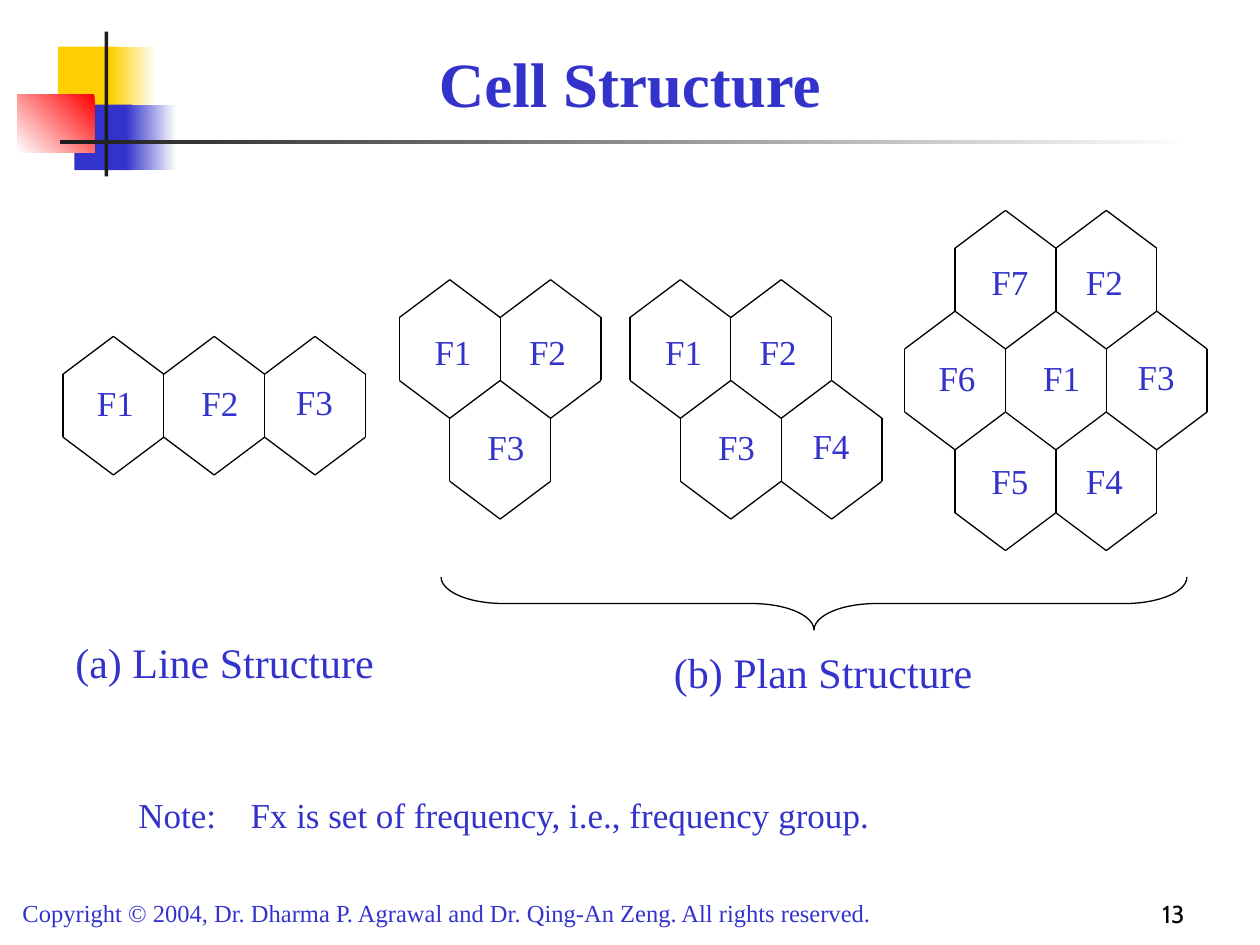
from typing import NamedTuple, Optional

from lxml.etree import SubElement
from pptx import Presentation
from pptx.dml.color import RGBColor
from pptx.enum.shapes import MSO_CONNECTOR, MSO_SHAPE
from pptx.enum.text import MSO_ANCHOR, MSO_AUTO_SIZE, PP_ALIGN
from pptx.oxml.ns import qn
from pptx.util import Inches, Length, Pt

BLUE = RGBColor(0x33, 0x33, 0xCC)
GOLD = RGBColor(0xFF, 0xCF, 0x01)
RED = RGBColor(0xFF, 0x00, 0x00)
DARK = RGBColor(0x1C, 0x1C, 0x1C)
BLACK = RGBColor(0, 0, 0)
WHITE = RGBColor(0xFF, 0xFF, 0xFF)

SERIF = "Times New Roman"
COLS, ROWS = 100, 75  # slide grid of square units
HALF = 4              # half the width of a hexagon
PITCH = 8             # from one row of hexagons to the next
CORNERS = [(1, 0), (2, 3), (2, 8), (1, 11), (0, 8), (0, 3)]  # half widths, units


class Box(NamedTuple):
    left: float
    top: float
    width: float
    height: float


class Bar(NamedTuple):
    box: Box
    color: RGBColor
    end: Optional[RGBColor] = None
    angle: float = 180


class Cell(NamedTuple):
    """A hexagon: col counts half widths; dx and dy place its label."""
    name: str
    col: int
    row: int
    dx: float
    dy: float


class Group(NamedTuple):
    left: float
    top: float
    cells: list[Cell]


BARS = [
    Bar(Box(4.6, 3.7, 4.8, 5.2), GOLD),
    Bar(Box(8.8, 3.7, 3.6, 5.2), WHITE, GOLD),
    Bar(Box(5.9, 8.3, 4.6, 5.2), BLUE),
    Bar(Box(10, 8.3, 4, 5.2), WHITE, BLUE),
    Bar(Box(1.4, 7.5, 6.1, 4.6), RED, WHITE, 225),
    Bar(Box(8.3, 2.5, 0.3, 11.5), DARK),
    Bar(Box(4.8, 11.1, 90, 0.3), WHITE, DARK),
]

TRIO = [
    Cell("F1", 0, 0, 1.8, 3.5),
    Cell("F2", 2, 0, 1.3, 3.5),
    Cell("F3", 1, 1, 2, 3.1),
]

GROUPS = [
    Group(5, 26.7, [
        Cell("F1", 0, 0, 1.7, 3.1),
        Cell("F2", 2, 0, 2, 3.1),
        Cell("F3", 4, 0, 1.5, 3),
    ]),
    Group(31.7, 22.2, TRIO),
    Group(50, 22.2, TRIO + [Cell("F4", 3, 1, 1.5, 3)]),
    Group(71.8, 16.7, [
        Cell("F1", 2, 1, 2, 3.1),
        Cell("F2", 3, 0, 1.4, 3.5),
        Cell("F3", 4, 1, 1.5, 3),
        Cell("F4", 3, 2, 1.4, 3.3),
        Cell("F5", 1, 2, 1.9, 3.3),
        Cell("F6", 0, 1, 1.7, 3.1),
        Cell("F7", 1, 0, 1.9, 3.5),
    ]),
]

deck = Presentation()
deck.slide_width, deck.slide_height = Inches(10), Inches(7.5)
slide = deck.slides.add_slide(deck.slide_layouts[6])


def across(cols: float) -> Length:
    return Length(round(deck.slide_width * cols / COLS))


def down(rows: float) -> Length:
    return Length(round(deck.slide_height * rows / ROWS))


def place(box: Box) -> tuple[Length, ...]:
    return across(box.left), down(box.top), across(box.width), down(box.height)


def add_bar(bar: Bar) -> None:
    shape = slide.shapes.add_shape(MSO_SHAPE.RECTANGLE, *place(bar.box))
    shape.shadow.inherit = False
    shape.line.fill.background()
    if bar.end is None:
        shape.fill.solid()
        shape.fill.fore_color.rgb = bar.color
        return
    shape.fill.gradient()
    shape.fill.gradient_angle = bar.angle
    for stop, color in zip(shape.fill.gradient_stops, (bar.color, bar.end)):
        stop.color.rgb = color


def add_text(text: str, box: Box, *, size: float = 20, font: str = SERIF,
             color: RGBColor = BLUE, bold: bool = False,
             align: PP_ALIGN = PP_ALIGN.LEFT,
             anchor: MSO_ANCHOR = MSO_ANCHOR.TOP,
             grow: bool = True, tab: Optional[float] = None) -> None:
    frame = slide.shapes.add_textbox(*place(box)).text_frame
    frame.word_wrap = True
    frame.vertical_anchor = anchor
    frame.auto_size = MSO_AUTO_SIZE.SHAPE_TO_FIT_TEXT if grow else MSO_AUTO_SIZE.NONE
    para = frame.paragraphs[0]
    if tab is not None:
        stops = SubElement(para._p.get_or_add_pPr(), qn("a:tabLst"))
        SubElement(stops, qn("a:tab"), pos=str(across(tab)), algn="l")
    para.alignment = align
    run = para.add_run()
    run.text = text
    run.font.name, run.font.size, run.font.bold = font, Pt(size), bold
    run.font.color.rgb = color


def add_line(x1: float, y1: float, x2: float, y2: float) -> None:
    line = slide.shapes.add_connector(
        MSO_CONNECTOR.STRAIGHT, across(x1), down(y1), across(x2), down(y2))
    line.line.color.rgb = BLACK
    line.line.width = Pt(0.75)
    SubElement(line._element.spPr, qn("a:effectLst"))


def add_group(group: Group) -> None:
    """Draw each shared edge once, then the labels."""
    edges = {}
    for cell in group.cells:
        ring = [(cell.col + x, cell.row * PITCH + y) for x, y in CORNERS]
        for pair in zip(ring, ring[1:] + ring[:1]):
            edges[tuple(sorted(pair))] = None
    for (x1, y1), (x2, y2) in edges:
        add_line(group.left + x1 * HALF, group.top + y1,
                 group.left + x2 * HALF, group.top + y2)
    for cell in group.cells:
        add_text(cell.name, Box(group.left + cell.col * HALF + cell.dx,
                                group.top + cell.row * PITCH + cell.dy, 5.8, 4.4))


def add_brace(box: Box) -> None:
    brace = slide.shapes.add_shape(MSO_SHAPE.RIGHT_BRACE, *place(box))
    brace.rotation = 90
    brace.adjustments[0] = 1.18
    brace.shadow.inherit = False
    brace.fill.background()
    brace.line.color.rgb = BLACK
    brace.line.width = Pt(0.75)


def main() -> None:
    for bar in BARS:
        add_bar(bar)
    add_text("Copyright © 2004, Dr. Dharma P. Agrawal and Dr. Qing-An Zeng. "
             "All rights reserved.", Box(0.8, 70.8, 75.8, 3.4), size=14)
    add_text("Cell Structure", Box(7.5, 0.8, 85, 9.2), size=36, bold=True,
             align=PP_ALIGN.CENTER, anchor=MSO_ANCHOR.BOTTOM, grow=False)
    for group in GROUPS:
        add_group(group)
    add_text("(a) Line Structure", Box(5, 50, 25.8, 5), size=24)
    add_text("(b) Plan Structure", Box(52.5, 50.8, 29.2, 5), size=24)
    add_brace(Box(62.5, 18.3, 4.2, 59.2))
    add_text("Note:\tFx is set of frequency, i.e., frequency group.",
             Box(10, 62.5, 76.7, 4.4), tab=8.9)
    add_text("13", Box(74.2, 69.2, 20.8, 5), size=14, font="Cabin", color=BLACK,
             align=PP_ALIGN.RIGHT, anchor=MSO_ANCHOR.BOTTOM, grow=False)
    deck.save("out.pptx")


if __name__ == "__main__":
    main()
